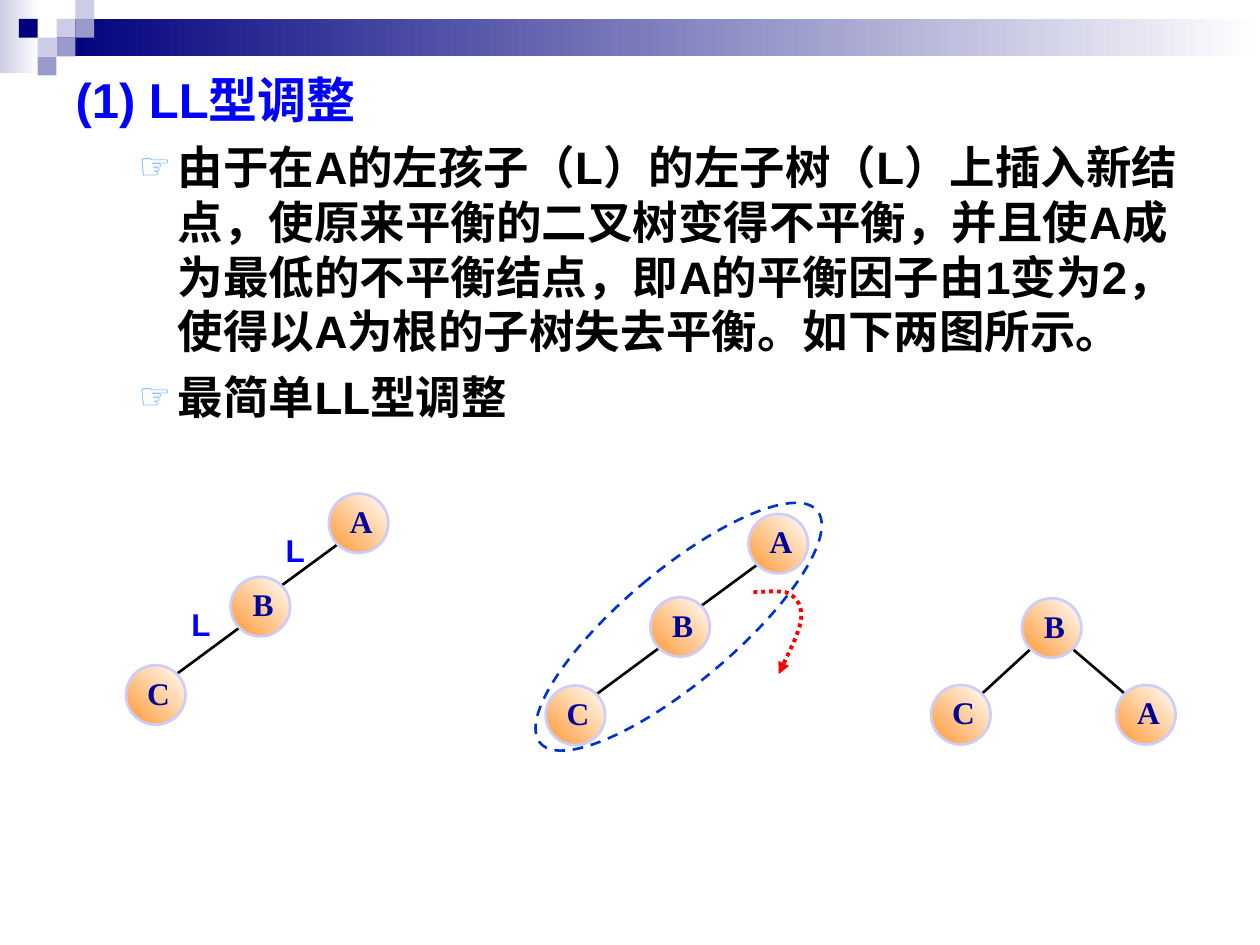
from math import sqrt

from lxml import etree
from pptx import Presentation
from pptx.dml.color import RGBColor
from pptx.enum.dml import MSO_LINE
from pptx.enum.shapes import MSO_CONNECTOR, MSO_SHAPE
from pptx.enum.text import MSO_ANCHOR, MSO_AUTO_SIZE, PP_ALIGN
from pptx.oxml.ns import qn
from pptx.util import Cm, Pt

RECT, OVAL = MSO_SHAPE.RECTANGLE, MSO_SHAPE.OVAL
STRAIGHT = MSO_CONNECTOR.STRAIGHT
DASH, DOTS = MSO_LINE.DASH, MSO_LINE.ROUND_DOT

WHITE = RGBColor(0xFF, 0xFF, 0xFF)
BLACK = RGBColor(0, 0, 0)
BLUE = RGBColor(0, 0, 0xFF)
RED = RGBColor(0xFF, 0, 0)
NAVY = RGBColor(0, 0, 0x7D)
LAVENDER = RGBColor(0xCC, 0xCC, 0xE6)
VIOLET = RGBColor(0x99, 0x99, 0xCC)
ORANGE = RGBColor(0xFF, 0x99, 0x33)
NODE_EDGE = RGBColor(0xCC, 0xCC, 0xFF)
NODE_TEXT = RGBColor(0, 0, 0x99)
RING = RGBColor(0, 0x33, 0xCC)
BULLET = "67AFFF"

HEADING = "(1) LL型调整"
POINTS = [
    "由于在A的左孩子（L）的左子树（L）上插入新结点，使原来平衡的二叉树变得不平衡，"
    "并且使A成为最低的不平衡结点，即A的平衡因子由1变为2，使得以A为根的子树失去平衡。"
    "如下两图所示。",
    "最简单LL型调整",
]

# Lengths below are in centimetres; node positions are centres.
NODE = 1.2
CHAIN = {"A": (7.23, 10.55), "B": (5.25, 12.23), "C": (3.14, 14.01)}
CHAIN_SHIFT = (8.46, 0.41)
ROTATED = {"B": (21.2, 12.66), "C": (19.37, 14.41), "A": (23.1, 14.41)}
TREES = [
    (CHAIN, ["AB", "BC"]),
    ({key: (x + CHAIN_SHIFT[0], y + CHAIN_SHIFT[1])
      for key, (x, y) in CHAIN.items()}, ["AB", "BC"]),
    (ROTATED, ["BC", "BA"]),
]
BRANCH_LABELS = [("L", 5.51, 10.59), ("L", 3.61, 12.07)]
TURN = [(15.19, 11.94), (15.29, 11.94), (15.75, 11.89), (15.9, 11.96),
        (16.08, 12.07), (16.18, 12.22), (16.15, 12.5),
        (16.1, 12.78), (15.8, 13.36), (15.7, 13.59)]

TILE = 0.38
TILES = [(3, 1, LAVENDER), (4, 0, LAVENDER), (4, 1, VIOLET), (2, 2, LAVENDER),
         (1, 1, NAVY), (3, 2, VIOLET), (2, 3, VIOLET)]
BANDS = [(0, 0, 0.78, 1.47, LAVENDER), (3 * TILE, TILE, 24.26, 2 * TILE, NAVY)]


def add_plain(shapes, kind, left, top, width, height):
    """Add a preset shape with no shadow, fill or line."""
    shape = shapes.add_shape(kind, Cm(left), Cm(top), Cm(width), Cm(height))
    shape.shadow.inherit = False
    shape.fill.background()
    shape.line.fill.background()
    return shape


def fade_to_white(shape, colour, angle):
    shape.fill.gradient()
    shape.fill.gradient_angle = angle
    for stop, rgb in zip(shape.fill.gradient_stops, (colour, WHITE)):
        stop.color.rgb = rgb


def set_line(shape, colour, width, dash=None):
    shape.line.color.rgb = colour
    shape.line.width = Pt(width)
    if dash:
        shape.line.dash_style = dash


def add_run(paragraph, text, size, colour, font="Arial"):
    run = paragraph.add_run()
    run.text = text
    run.font.name, run.font.size, run.font.bold = font, Pt(size), True
    run.font.color.rgb = colour


def set_indent(paragraph, margin, hanging):
    props = paragraph._p.get_or_add_pPr()
    props.set("marL", str(Cm(margin)))
    props.set("indent", str(-Cm(hanging)))
    return props


def add_header(shapes):
    for left, top, width, height, colour in BANDS:
        fade_to_white(add_plain(shapes, RECT, left, top, width, height), colour, 0)
    for column, row, colour in TILES:
        tile = add_plain(shapes, RECT, column * TILE, row * TILE, TILE, TILE)
        tile.fill.solid()
        tile.fill.fore_color.rgb = colour


def fill_body(body):
    body.left, body.top, body.width, body.height = Cm(1.27), Cm(1.27), Cm(22.86), Cm(17.78)
    frame = body.text_frame
    frame.auto_size = MSO_AUTO_SIZE.NONE
    frame.vertical_anchor = MSO_ANCHOR.TOP
    heading = frame.paragraphs[0]
    etree.SubElement(set_indent(heading, 0.95, 0.95), qn("a:buNone"))
    heading.space_before = Pt(0)
    add_run(heading, HEADING, 28, BLUE)
    for text in POINTS:
        point = frame.add_paragraph()
        point.level = 1
        props = set_indent(point, 2.06, 0.79)
        colour = etree.SubElement(props, qn("a:buClr"))
        etree.SubElement(colour, qn("a:srgbClr"), val=BULLET)
        etree.SubElement(props, qn("a:buSzPct"), val="80000")
        etree.SubElement(props, qn("a:buChar"), char="☞")
        point.space_before = Pt(6.5)
        add_run(point, text, 26, BLACK)


def add_tree(shapes, nodes, edges):
    """Draw the nodes, with edges that meet each circle at 45 degrees."""
    members = shapes.add_group_shape().shapes
    reach = NODE / 2 / sqrt(2)
    for parent, child in edges:
        (x1, y1), (x2, y2) = nodes[parent], nodes[child]
        dx = reach if x2 > x1 else -reach
        edge = members.add_connector(STRAIGHT, Cm(x1 + dx), Cm(y1 + reach),
                                     Cm(x2 - dx), Cm(y2 - reach))
        set_line(edge, BLACK, 1.5)
        etree.SubElement(edge._element.spPr, qn("a:effectLst"))
    for key, (x, y) in nodes.items():
        node = add_plain(members, OVAL, x - NODE / 2, y - NODE / 2, NODE, NODE)
        fade_to_white(node, ORANGE, 45)
        set_line(node, NODE_EDGE, 1.5)
        frame = node.text_frame
        frame.word_wrap = False
        frame.vertical_anchor = MSO_ANCHOR.MIDDLE
        frame.margin_left, frame.margin_right = Cm(0.36), Cm(0.25)
        frame.margin_top, frame.margin_bottom = Cm(0.03), Cm(0.13)
        frame.paragraphs[0].alignment = PP_ALIGN.CENTER
        add_run(frame.paragraphs[0], key, 18, NODE_TEXT, "Times New Roman")


def add_turn_arrow(shapes):
    start, *rest = [(Cm(x), Cm(y)) for x, y in TURN]
    builder = shapes.build_freeform(*start)
    builder.add_line_segments(rest, close=False)
    arrow = builder.convert_to_shape()
    outline = next(arrow._element.iter(qn("a:path")))
    segments = outline.findall(qn("a:lnTo"))
    for first in range(0, len(segments), 3):
        curve = etree.SubElement(outline, qn("a:cubicBezTo"))
        for segment in segments[first:first + 3]:
            curve.append(segment[0])
            outline.remove(segment)
    arrow.shadow.inherit = False
    arrow.fill.background()
    set_line(arrow, RED, 2.25, DOTS)
    etree.SubElement(arrow.line._get_or_add_ln(), qn("a:tailEnd"), type="triangle")


def main():
    deck = Presentation()
    deck.slide_width, deck.slide_height = Cm(25.4), Cm(19.05)
    slide = deck.slides.add_slide(deck.slide_layouts[1])
    title, body = slide.placeholders
    title._element.getparent().remove(title._element)
    shapes = slide.shapes

    add_header(shapes)
    fill_body(body)
    for nodes, edges in TREES:
        add_tree(shapes, nodes, edges)
    ring = add_plain(shapes, OVAL, 12.55, 8.99, 2.26, 7.29)
    ring.rotation = 50
    set_line(ring, RING, 1.5, DASH)
    add_turn_arrow(shapes)
    for text, left, top in BRANCH_LABELS:
        label = shapes.add_textbox(Cm(left), Cm(top), Cm(0.89), Cm(1.02))
        label.text_frame.word_wrap = False
        add_run(label.text_frame.paragraphs[0], text, 18, BLUE)

    deck.save("out.pptx")


if __name__ == "__main__":
    main()
